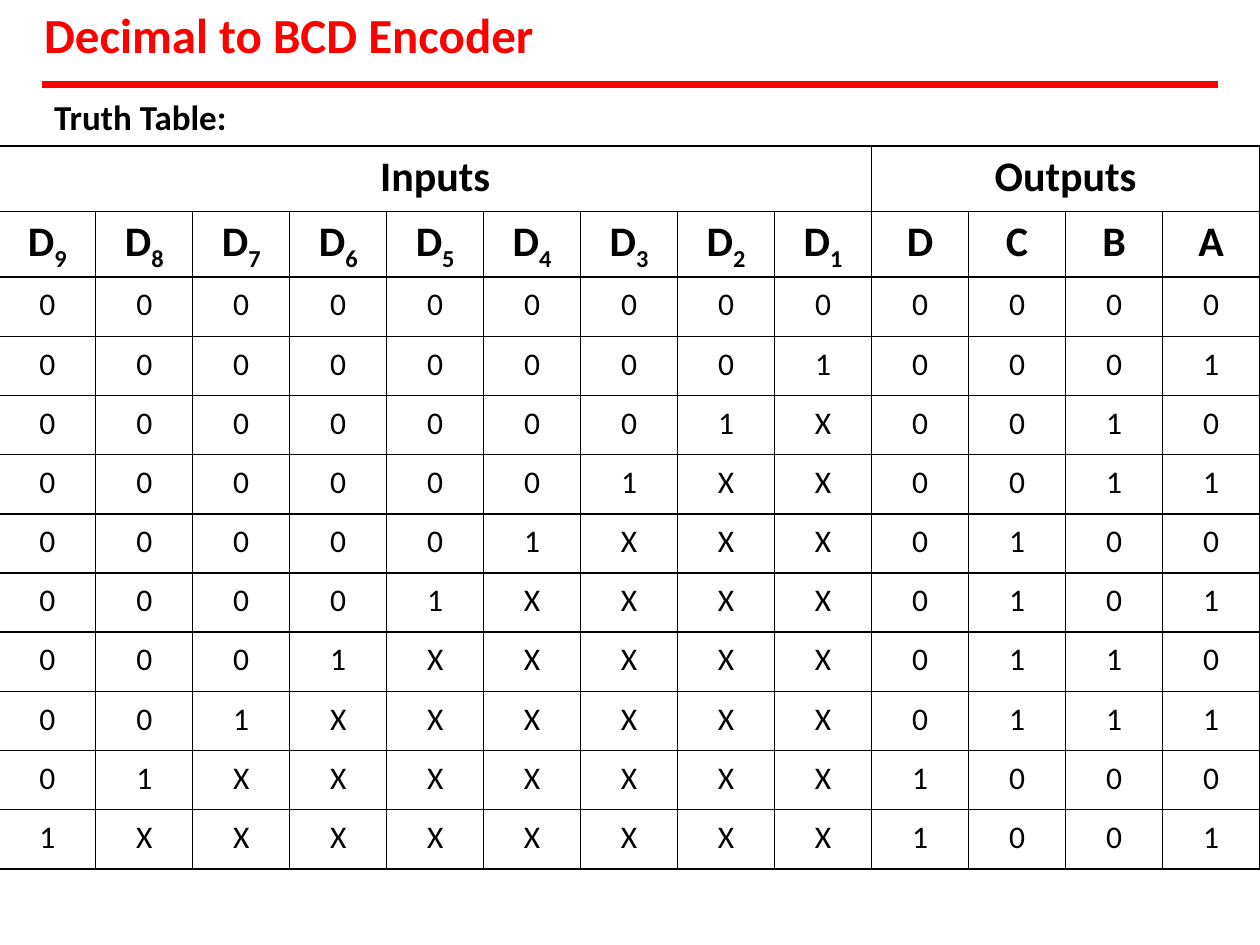
from dataclasses import dataclass

from lxml import etree
from pptx import Presentation
from pptx import util as u
from pptx.dml.color import RGBColor
from pptx.enum import shapes, text
from pptx.oxml.ns import qn


@dataclass(frozen=True)
class Theme:
    font: str = "Calibri"
    red: str = "FF0000"
    black: str = "000000"
    title: int = 28
    subtitle: int = 20
    header: int = 24
    body: int = 18
    rule: float = 4
    border: float = 1


@dataclass(frozen=True)
class Label:
    wording: str
    left: float
    top: float
    width: float
    height: float
    size: int
    color: str


@dataclass(frozen=True)
class CellStyle:
    size: int
    bold: bool
    margin_top: float


THEME = Theme()
HEADER = CellStyle(THEME.header, True, 0.04)
BODY = CellStyle(THEME.body, False, 0.07)
LABELS = [
    Label("Decimal to BCD Encoder", 0.35, 0.03, 3.92, 0.5, THEME.title, THEME.red),
    Label("Truth Table:", 0.43, 0.75, 1.39, 0.36, THEME.subtitle, THEME.black),
]
INPUTS = range(9, 0, -1)
OUTPUTS = "DCBA"
COLUMN_WIDTH = 0.77
ROW_HEIGHTS = [0.52] * 2 + [0.47] * 10


def set_attributes(obj, values: dict) -> None:
    for name, value in values.items():
        setattr(obj, name, value)


def add_run(p, wording: str, size: int, bold: bool, color: str):
    r = p.add_run()
    r.text = wording
    set_attributes(r.font, {"name": THEME.font, "size": u.Pt(size), "bold": bold})
    r.font.color.rgb = RGBColor.from_string(color)
    return r


def add_label(s, label: Label) -> None:
    box = (label.left, label.top, label.width, label.height)
    tf = s.shapes.add_textbox(*map(u.Inches, box)).text_frame
    set_attributes(tf, {
        "margin_left": 0, "margin_right": 0, "margin_bottom": 0,
        "margin_top": u.Inches(0.01), "word_wrap": False,
    })
    add_run(tf.paragraphs[0], label.wording, label.size, True, label.color)


def add_title_rule(s) -> None:
    y = u.Inches(0.67)
    rule = s.shapes.add_connector(
        shapes.MSO_CONNECTOR.STRAIGHT, u.Inches(0.33), y, u.Inches(9.67), y)
    rule.line.width = u.Pt(THEME.rule)
    rule.line.color.rgb = RGBColor.from_string(THEME.red)
    etree.SubElement(rule._element.spPr, qn("a:effectLst"))


def add_borders(cell) -> None:
    tc_pr = cell._tc.get_or_add_tcPr()
    for side in ("a:lnL", "a:lnR", "a:lnT", "a:lnB"):
        ln = etree.SubElement(tc_pr, qn(side), w=str(u.Pt(THEME.border)))
        fill = etree.SubElement(ln, qn("a:solidFill"))
        etree.SubElement(fill, qn("a:srgbClr"), val=THEME.black)


def fill_cell(cell, wording: str, style: CellStyle, subscript: str = "") -> None:
    set_attributes(cell, {
        "margin_left": 0, "margin_right": 0, "margin_bottom": 0,
        "margin_top": u.Inches(style.margin_top),
        "vertical_anchor": text.MSO_ANCHOR.TOP,
    })
    p = cell.text_frame.paragraphs[0]
    p.alignment = text.PP_ALIGN.CENTER
    add_run(p, wording, style.size, style.bold, THEME.black)
    if subscript:
        r = add_run(p, subscript, style.size, style.bold, THEME.black)
        r._r.get_or_add_rPr().set("baseline", "-25000")


def encoder_row(digit: int) -> str:
    """Inputs D9 to D1 with lower ones ignored, then the digit in binary."""
    if digit == 0:
        inputs = "0" * len(INPUTS)
    else:
        inputs = "0" * (9 - digit) + "1" + "X" * (digit - 1)
    return inputs + f"{digit:04b}"


def add_truth_table(s) -> None:
    n_inputs, n_cols = len(INPUTS), len(INPUTS) + len(OUTPUTS)
    table = s.shapes.add_table(
        len(ROW_HEIGHTS), n_cols, u.Inches(-0.01), u.Inches(1.16),
        u.Inches(COLUMN_WIDTH * n_cols), u.Inches(sum(ROW_HEIGHTS))).table
    set_attributes(table, {"first_row": False, "horz_banding": False})
    for column in table.columns:
        column.width = u.Inches(COLUMN_WIDTH)
    for row, height in zip(table.rows, ROW_HEIGHTS):
        row.height = u.Inches(height)
    for cell in table.iter_cells():
        add_borders(cell)
        cell.fill.background()

    for wording, first, last in (("Inputs", 0, n_inputs - 1),
                                 ("Outputs", n_inputs, n_cols - 1)):
        table.cell(0, first).merge(table.cell(0, last))
        fill_cell(table.cell(0, first), wording, HEADER)
    for col, number in enumerate(INPUTS):
        fill_cell(table.cell(1, col), "D", HEADER, str(number))
    for col, name in enumerate(OUTPUTS, n_inputs):
        fill_cell(table.cell(1, col), name, HEADER)
    for digit in range(10):
        for col, value in enumerate(encoder_row(digit)):
            fill_cell(table.cell(digit + 2, col), value, BODY)


def main() -> None:
    prs = Presentation()
    set_attributes(prs, {"slide_width": u.Inches(10), "slide_height": u.Inches(7.5)})
    s = prs.slides.add_slide(prs.slide_layouts[6])
    add_title_rule(s)
    add_truth_table(s)
    for label in LABELS:
        add_label(s, label)
    prs.save("out.pptx")


if __name__ == "__main__":
    main()
